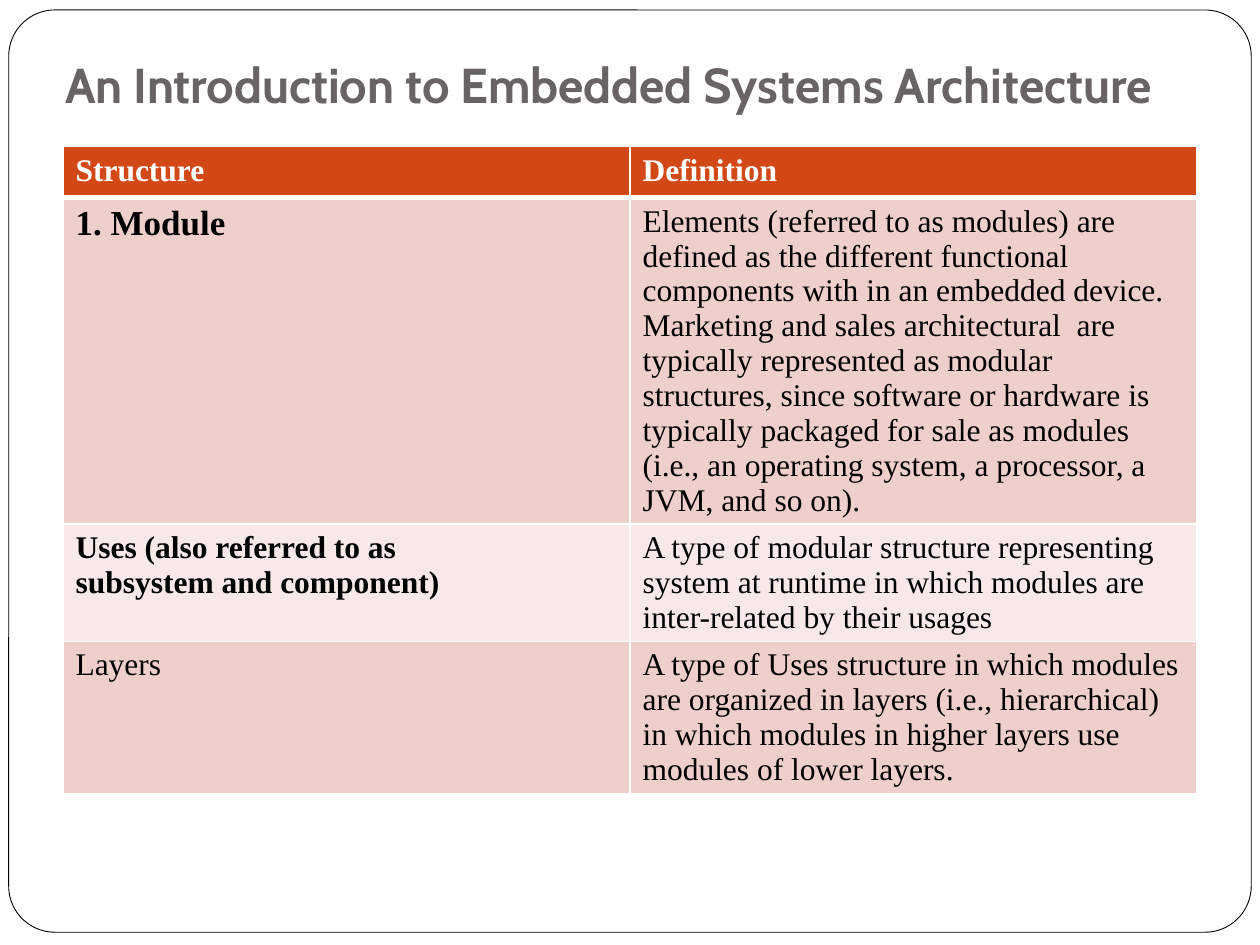
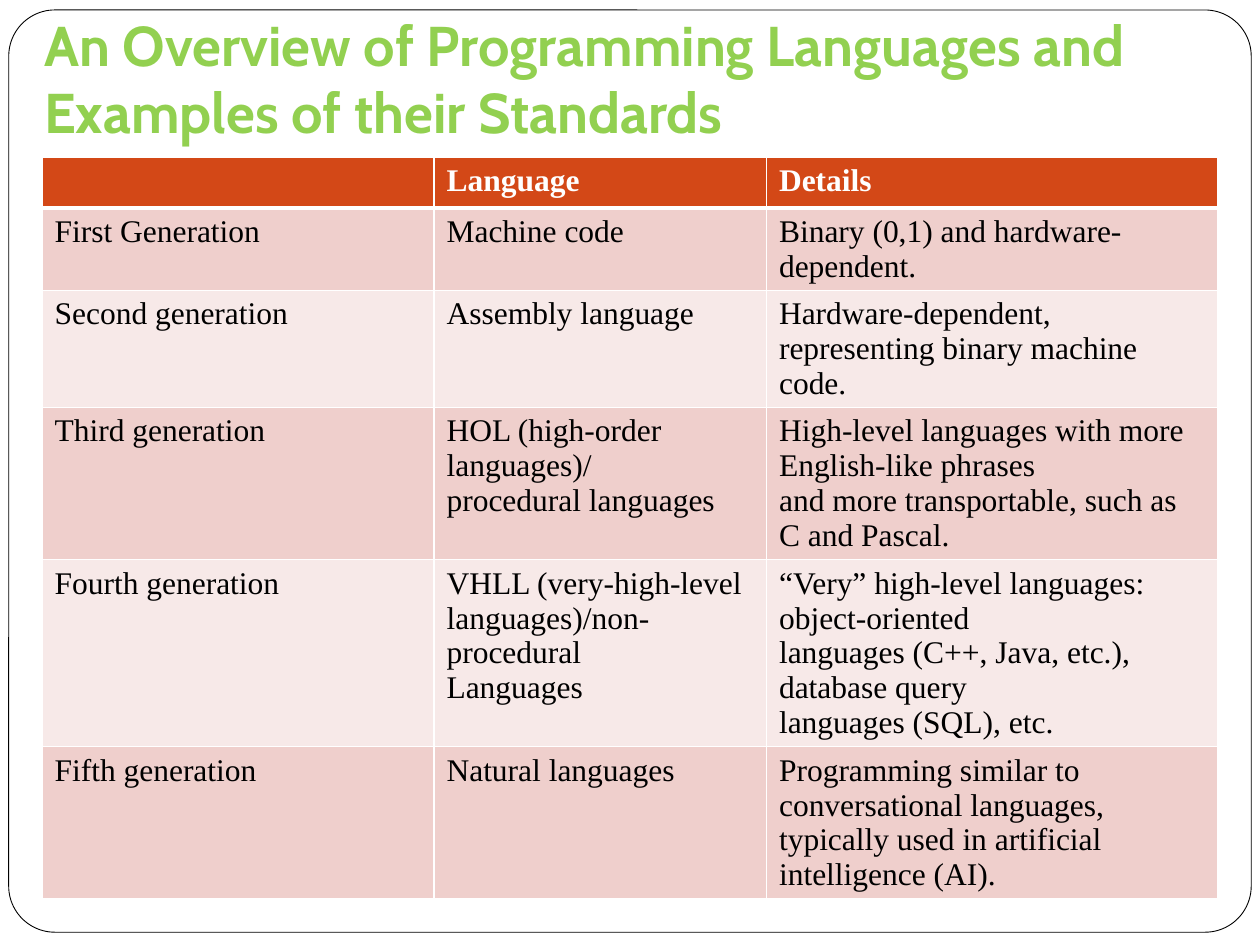
from dataclasses import dataclass

from lxml.etree import SubElement
from pptx import Presentation
from pptx.dml.color import RGBColor
from pptx.enum.shapes import MSO_SHAPE
from pptx.enum.text import MSO_ANCHOR, MSO_AUTO_SIZE, PP_ALIGN
from pptx.oxml.ns import qn
from pptx.util import Pt


@dataclass(frozen=True)
class Theme:
    """Colours, fonts and sizes shared by the slides."""
    paper: str = "FFFFFF"
    ink: str = "000000"
    header: str = "D34817"
    bands: tuple = ("EFCFCC", "F7E9E8")
    grey_title: str = "696464"
    green_title: str = "92D050"
    title_font: str = "Cabin"
    table_font: str = "Times New Roman"
    table_size: float = 18
    module_size: float = 20
    row_height: float = 29.2
    rule: float = 1
    header_rule: float = 3


THEME = Theme()
SLIDE_WIDTH, SLIDE_HEIGHT = 720, 540

STRUCTURES = [
    ("Structure", "Definition"),
    ("1. Module",
     "Elements (referred to as modules) are defined as the different functional "
     "components with in an embedded device.\n"
     "Marketing and sales architectural  are typically represented as modular "
     "structures, since software or hardware is typically packaged for sale as "
     "modules (i.e., an operating system, a processor, a JVM, and so on)."),
    ("Uses (also referred to as\nsubsystem and component)",
     "A type of modular structure representing system at runtime in which modules "
     "are\ninter-related by their usages"),
    ("Layers",
     "A type of Uses structure in which modules are organized in layers (i.e., "
     "hierarchical) in which modules in higher layers use modules of lower layers."),
]
STRUCTURE_EMPHASIS = {(1, 0): THEME.module_size, (2, 0): THEME.table_size}

GENERATIONS = [
    ("", "Language", "Details"),
    ("First Generation", "Machine code", "Binary (0,1) and hardware-dependent."),
    ("Second generation", "Assembly language",
     "Hardware-dependent, representing binary machine code."),
    ("Third generation", "HOL (high-order languages)/\nprocedural languages",
     "High-level languages with more English-like phrases\n"
     "and more transportable, such as C and Pascal."),
    ("Fourth generation",
     "VHLL (very-high-level\nlanguages)/non-procedural\nLanguages",
     "“Very” high-level languages: object-oriented\n"
     "languages (C++, Java, etc.), database query\n"
     "languages (SQL), etc."),
    ("Fifth generation", "Natural languages",
     "Programming similar to conversational languages,\n"
     "typically used in artificial intelligence (AI)."),
]


def write(frame, text, font, size, color, bold):
    """Write each line of text as one left-aligned paragraph."""
    for index, line in enumerate(text.split("\n")):
        paragraph = frame.add_paragraph() if index else frame.paragraphs[0]
        paragraph.alignment = PP_ALIGN.LEFT
        if line:
            run = paragraph.add_run()
            run.text = line
            run.font.name = font
            run.font.size = Pt(size)
            run.font.bold = bold
            run.font.color.rgb = RGBColor.from_string(color)


def add_frame(slide):
    """Draw the rounded page frame behind the placeholders."""
    frame = slide.shapes.add_shape(
        MSO_SHAPE.ROUNDED_RECTANGLE, Pt(5), Pt(5.7), Pt(710), Pt(527))
    frame.adjustments[0] = 0.05
    frame.shadow.inherit = False
    frame.fill.solid()
    frame.fill.fore_color.rgb = RGBColor.from_string(THEME.paper)
    frame.line.color.rgb = RGBColor.from_string(THEME.ink)
    frame.line.width = Pt(0.5)
    slide.shapes.element.insert(2, frame.element)


def set_title(slide, box, text, size, color):
    """Place and fill the title placeholder."""
    title = slide.shapes.title
    title.left, title.top, title.width, title.height = map(Pt, box)
    frame = title.text_frame
    frame.word_wrap = True
    frame.auto_size = MSO_AUTO_SIZE.NONE
    frame.vertical_anchor = MSO_ANCHOR.BOTTOM
    frame.margin_left = frame.margin_right = frame.margin_bottom = Pt(7.2)
    frame.margin_top = Pt(3.6)
    write(frame, text, THEME.title_font, size, color, True)


def set_borders(cell, top, bottom):
    """Rule the four sides of a cell in the paper colour."""
    properties = cell._tc.get_or_add_tcPr()
    widths = {"L": THEME.rule, "R": THEME.rule, "T": top, "B": bottom}
    for index, (side, width) in enumerate(widths.items()):
        line = SubElement(properties, qn(f"a:ln{side}"), w=str(Pt(width)))
        fill = SubElement(line, qn("a:solidFill"))
        SubElement(fill, qn("a:srgbClr"), val=THEME.paper)
        properties.insert(index, line)


def add_banded_table(slide, left, top, widths, rows, emphasis):
    """Build a table with a header row and alternating bands."""
    table = slide.shapes.add_table(
        len(rows), len(widths), Pt(left), Pt(top),
        Pt(sum(widths)), Pt(THEME.row_height * len(rows))).table
    for column, width in zip(table.columns, widths):
        column.width = Pt(width)
    for row, entries in enumerate(rows):
        table.rows[row].height = Pt(THEME.row_height)
        is_header = row == 0
        band = THEME.header if is_header else THEME.bands[(row - 1) % 2]
        for column, entry in enumerate(entries):
            cell = table.cell(row, column)
            cell.fill.solid()
            cell.fill.fore_color.rgb = RGBColor.from_string(band)
            set_borders(cell,
                        THEME.header_rule if row == 1 else THEME.rule,
                        THEME.header_rule if is_header else THEME.rule)
            write(cell.text_frame, entry, THEME.table_font,
                  emphasis.get((row, column), THEME.table_size),
                  THEME.paper if is_header else THEME.ink,
                  is_header or (row, column) in emphasis)


def add_table_slide(deck, title_box, title, size, color, corner, widths, rows,
                    emphasis):
    """Add a framed slide with a title above a banded table."""
    slide = deck.slides.add_slide(deck.slide_layouts.get_by_name("Title Only"))
    add_frame(slide)
    set_title(slide, title_box, title, size, color)
    add_banded_table(slide, *corner, widths, rows, emphasis)


def main():
    """Build and save the deck."""
    deck = Presentation()
    deck.slide_width, deck.slide_height = Pt(SLIDE_WIDTH), Pt(SLIDE_HEIGHT)
    add_table_slide(
        deck, (30, 18, 648, 54), "An Introduction to Embedded Systems Architecture",
        28, THEME.grey_title, (36, 83.8), (324, 324), STRUCTURES,
        STRUCTURE_EMPHASIS)
    add_table_slide(
        deck, (18, 0, 702, 90),
        "An Overview of Programming Languages and Examples of their Standards",
        32, THEME.green_title, (24, 89.6), (224, 190, 258), GENERATIONS, {})
    deck.save("out.pptx")


if __name__ == "__main__":
    main()
